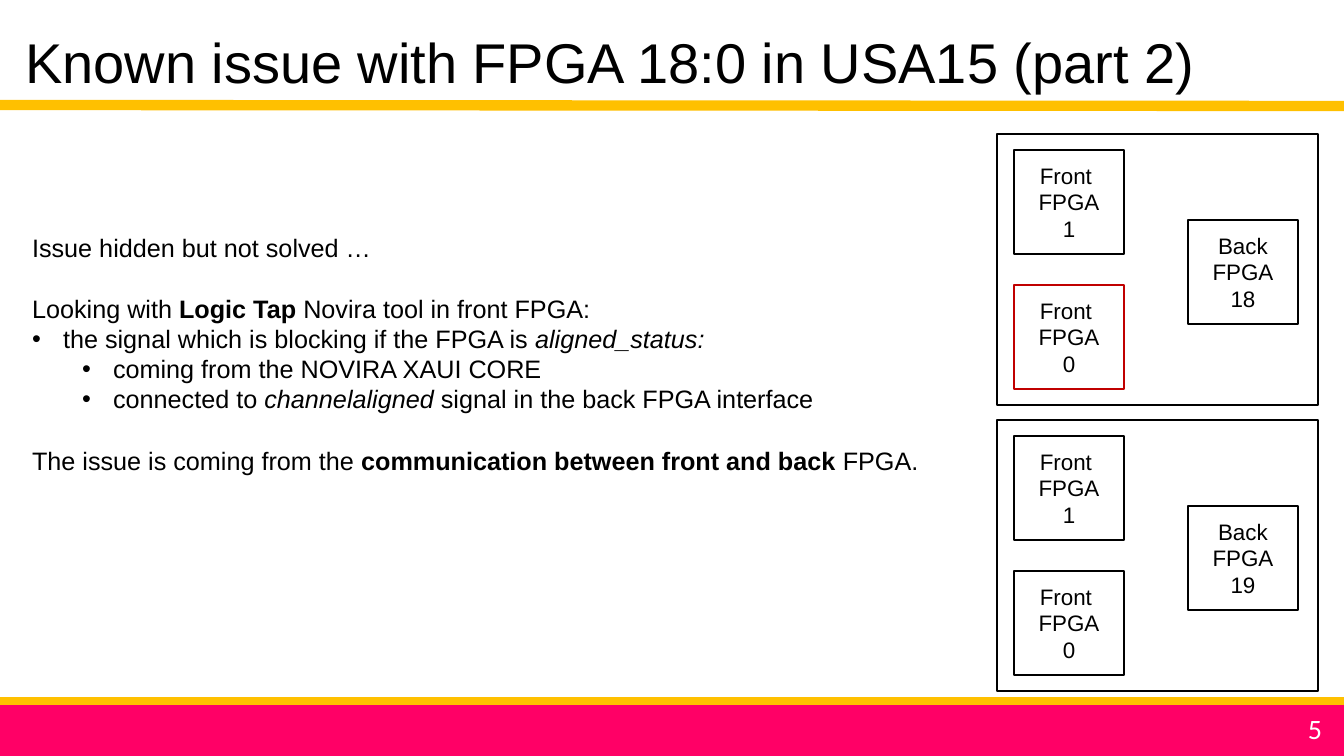
"""Build the slide on the known FPGA 18:0 issue."""
from lxml.etree import SubElement
from pptx import Presentation
from pptx.dml.color import RGBColor
from pptx.enum.shapes import MSO_CONNECTOR, MSO_SHAPE
from pptx.enum.text import MSO_ANCHOR, MSO_AUTO_SIZE, PP_ALIGN
from pptx.oxml.ns import qn
from pptx.util import Emu, Pt

PIXEL = 9071.43
BLACK = RGBColor(0, 0, 0)
WHITE = RGBColor(255, 255, 255)
AMBER = RGBColor(0xFF, 0xC0, 0x00)
PINK = RGBColor(0xFF, 0x00, 0x66)
RED = RGBColor(0xC0, 0x00, 0x00)


def pixels(*lengths):
    return [Emu(round(length * PIXEL)) for length in lengths]


def format_text(frame, size, align, color=BLACK, font="Arial"):
    for para in frame.paragraphs:
        para.alignment = align
        for span in para.runs:
            for name, value in {"size": Pt(size), "name": font}.items():
                setattr(span.font, name, value)
            span.font.color.rgb = color


deck = Presentation()
deck.slide_width, deck.slide_height = pixels(1344, 756)
page = deck.slides.add_slide(deck.slide_layouts[1])
title, body = page.placeholders

footer = page.shapes.add_shape(MSO_SHAPE.RECTANGLE, *pixels(0, 702, 1344, 54))
footer.shadow.inherit = False
footer.fill.solid()
footer.fill.fore_color.rgb = footer.line.color.rgb = PINK
footer.line.width = Pt(1)

for start, end, width in [(107, 108, 4.5), (103, 104, 4.5), (701, 701, 6)]:
    rule = page.shapes.add_connector(MSO_CONNECTOR.STRAIGHT, *pixels(0, start, 1344, end))
    rule.line.color.rgb = AMBER
    rule.line.width = Pt(width)
    SubElement(rule._element.spPr, qn("a:effectLst"))

title.left, title.top, title.width, title.height = pixels(15, 22, 1203, 78)
title.text_frame.text = "Known issue with FPGA 18:0 in USA15 (part 2)"
title_format = {"word_wrap": False, "auto_size": MSO_AUTO_SIZE.NONE,
                "vertical_anchor": MSO_ANCHOR.MIDDLE}
for name, value in title_format.items():
    setattr(title.text_frame, name, value)
format_text(title.text_frame, 40, PP_ALIGN.LEFT)

number = page.shapes.add_textbox(*pixels(1298, 707, 34, 44))
number.text_frame.text = "5"
number.text_frame.word_wrap = False
format_text(number.text_frame, 20, PP_ALIGN.LEFT, WHITE, "Calibri")

GAP = 22
findings = [
    (None, 0, [("Issue hidden but not solved …", "")]),
    (None, GAP, [("Looking with ", ""), ("Logic Tap ", "bold"),
                 ("Novira tool in front FPGA:", "")]),
    (0, 0, [("the signal which is blocking if the FPGA is ", ""),
            ("aligned_status:", "italic")]),
    (1, 0, [("coming from the NOVIRA XAUI CORE", "")]),
    (1, 0, [("connected to ", ""), ("channelaligned", "italic"),
            (" signal in the back FPGA interface", "")]),
    (None, GAP, [("The issue is coming from the ", ""),
                 ("communication between front and back ", "bold"), ("FPGA.", "")]),
]
body.left, body.top, body.width, body.height = pixels(22, 227, 912, 254)
frame = body.text_frame
frame.auto_size = MSO_AUTO_SIZE.NONE
frame.vertical_anchor = MSO_ANCHOR.TOP
for index, (level, gap, spans) in enumerate(findings):
    para = frame.paragraphs[0] if index == 0 else frame.add_paragraph()
    para.level = level or 0
    para.space_before = Pt(gap)
    properties = para._p.get_or_add_pPr()
    indent, hanging = (0, 0) if level is None else pixels(31 + 50 * level, -31)
    properties.set("marL", str(indent))
    properties.set("indent", str(hanging))
    if level is None:
        SubElement(properties, qn("a:buNone"))
    else:
        SubElement(properties, qn("a:buFont")).set("typeface", "Arial")
        SubElement(properties, qn("a:buChar")).set("char", "•")
    for text, style in spans:
        span = para.add_run()
        span.text = text
        if style:
            setattr(span.font, style, True)
format_text(frame, 18, PP_ALIGN.JUSTIFY)

boards = [(134, "18", RED), (420, "19", BLACK)]
for top, back_number, front_color in boards:
    blocks = [
        (997, top, 321, 271, "", BLACK),
        (1014, top + 16, 110, 104, "Front \nFPGA\n1", BLACK),
        (1014, top + 151, 110, 104, "Front \nFPGA\n0", front_color),
        (1188, top + 86, 110, 104, f"Back\nFPGA\n{back_number}", BLACK),
    ]
    for *place, label, color in blocks:
        box = page.shapes.add_shape(MSO_SHAPE.RECTANGLE, *pixels(*place))
        box.shadow.inherit = False
        box.fill.background()
        box.line.color.rgb = color
        box.line.width = Pt(1)
        if label:
            box.text_frame.text = label
            box.text_frame.word_wrap = False
            format_text(box.text_frame, 16, PP_ALIGN.CENTER)

deck.save("out.pptx")
